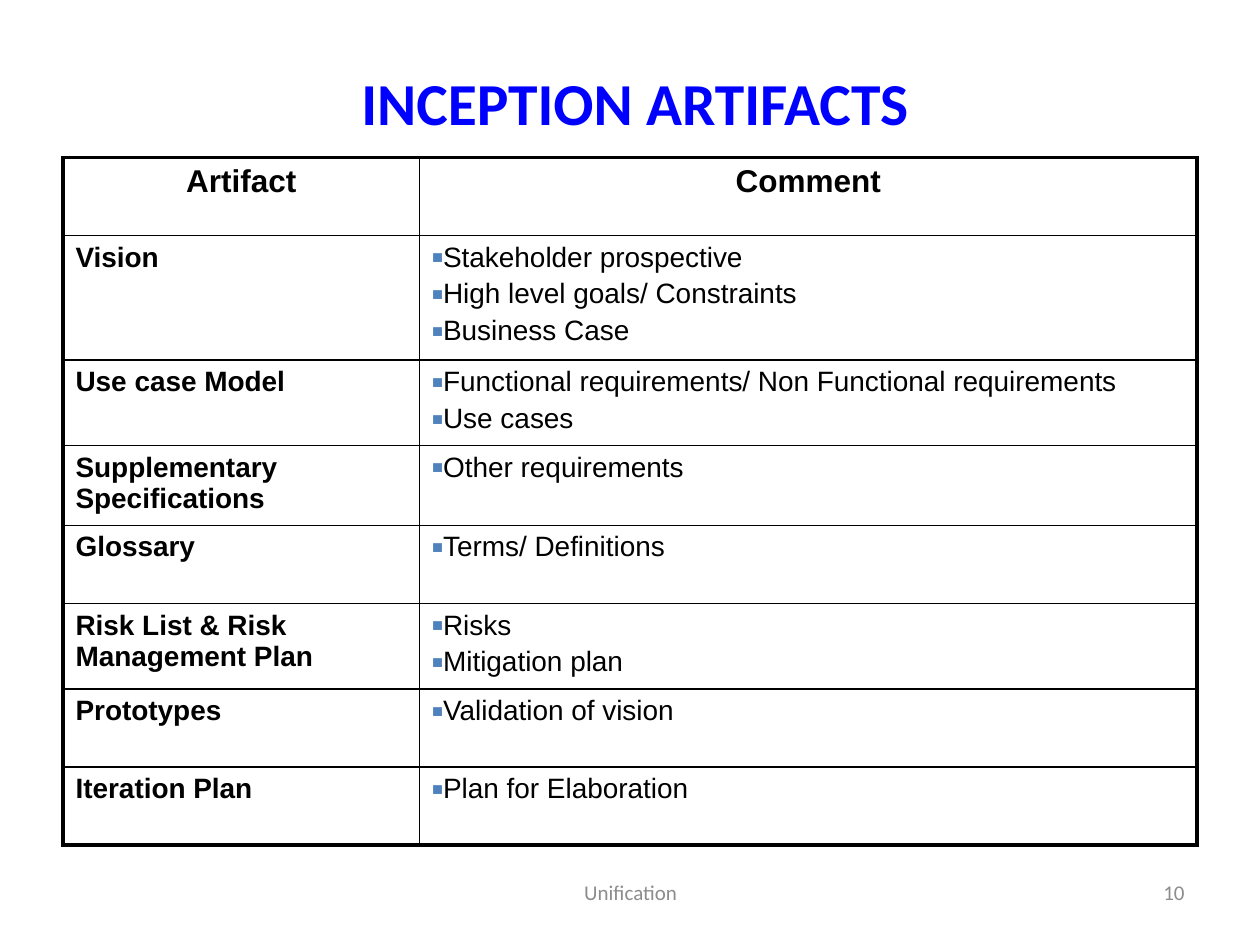
from lxml import etree
from pptx import Presentation
from pptx.dml.color import RGBColor
from pptx.enum.text import MSO_ANCHOR, PP_ALIGN
from pptx.oxml.ns import qn
from pptx.util import Inches, Pt

ROWS = [
    ("Vision", ["Stakeholder prospective", "High level goals/ Constraints", "Business Case"]),
    ("Use case Model", ["Functional requirements/ Non Functional requirements", "Use cases"]),
    ("Supplementary Specifications", ["Other requirements"]),
    ("Glossary", ["Terms/ Definitions"]),
    ("Risk List & Risk Management Plan", ["Risks", "Mitigation plan"]),
    ("Prototypes", ["Validation of vision"]),
    ("Iteration Plan", ["Plan for Elaboration"]),
]


def rgb(color):
    return RGBColor.from_string(color)


def format_paragraph(p, size, font, color, bold=False, align=PP_ALIGN.LEFT):
    p.alignment = align
    for r in p.runs:
        r.font.size = Pt(size)
        r.font.name = font
        r.font.bold = bold
        r.font.color.rgb = rgb(color)


def add_text(s, box, text, size, color, align, bold=False):
    tf = s.shapes.add_textbox(*map(Inches, box)).text_frame
    tf.word_wrap = True
    tf.vertical_anchor = MSO_ANCHOR.MIDDLE
    tf.text = text
    format_paragraph(tf.paragraphs[0], size, "Calibri", color, bold, align)


def add_child(parent, tag, **attrs):
    child = etree.SubElement(parent, qn(tag))
    for name, value in attrs.items():
        child.set(name, str(value))
    return child


def set_space_before(p, percent):
    space = add_child(p._p.get_or_add_pPr(), "a:spcBef")
    add_child(space, "a:spcPct", val=percent * 1000)


def set_bullet(p):
    pPr = p._p.get_or_add_pPr()
    add_child(add_child(pPr, "a:buClr"), "a:srgbClr", val="4F81BD")
    add_child(pPr, "a:buSzPct", val=65000)
    add_child(pPr, "a:buFont", typeface="Arial")
    add_child(pPr, "a:buChar", char="■")


def set_borders(cell, widths):
    tcPr = cell._tc.get_or_add_tcPr()
    for i, (side, width) in enumerate(zip("LRTB", widths)):
        ln = etree.Element(qn(f"a:ln{side}"), w=str(Pt(width)))
        add_child(add_child(ln, "a:solidFill"), "a:srgbClr", val="000000")
        tcPr.insert(i, ln)


def fill_cell(cell, lines, size, bold, align=PP_ALIGN.LEFT, bullets=False):
    cell.fill.background()
    tf = cell.text_frame
    tf.text = "\n".join(lines)
    for p in tf.paragraphs:
        format_paragraph(p, size, "Arial", "000000", bold, align)
        set_space_before(p, 20)
        if bullets:
            set_bullet(p)


def add_artifact_table(s, box):
    n = len(ROWS) + 1
    table = s.shapes.add_table(n, 2, *map(Inches, box)).table
    table.first_row = table.horz_banding = False
    for column, width in zip(table.columns, (2.83, 6.17)):
        column.width = Inches(width)
    for row in table.rows:
        row.height = Inches(0.62)
    for j, heading in enumerate(("Artifact", "Comment")):
        fill_cell(table.cell(0, j), [heading], 18, True, PP_ALIGN.CENTER)
    for i, (artifact, comments) in enumerate(ROWS, 1):
        fill_cell(table.cell(i, 0), [artifact], 16, True)
        fill_cell(table.cell(i, 1), comments, 16, False, bullets=True)
    for i in range(n):
        for j in range(2):
            outer = (j == 0, j == 1, i == 0, i == n - 1)
            set_borders(table.cell(i, j), [2.25 if edge else 1 for edge in outer])


def add_footer(s, left, top, width, height):
    add_text(s, (left, top, 3.17, height), "Unification", 12, "8C8C8C", PP_ALIGN.CENTER)
    add_text(s, (left + width - 2.33, top, 2.33, height), "10", 12, "8C8C8C", PP_ALIGN.RIGHT)


def main():
    prs = Presentation()
    prs.slide_width, prs.slide_height = Inches(10), Inches(7.5)
    s = prs.slides.add_slide(prs.slide_layouts[6])
    add_footer(s, 3.42, 6.83, 6.08, 0.5)
    add_text(s, (0.83, 0.42, 8.42, 0.78), "INCEPTION ARTIFACTS", 34, "0000FF", PP_ALIGN.CENTER, True)
    add_artifact_table(s, (0.5, 1.25, 9, 4.96))
    prs.save("out.pptx")


if __name__ == "__main__":
    main()
